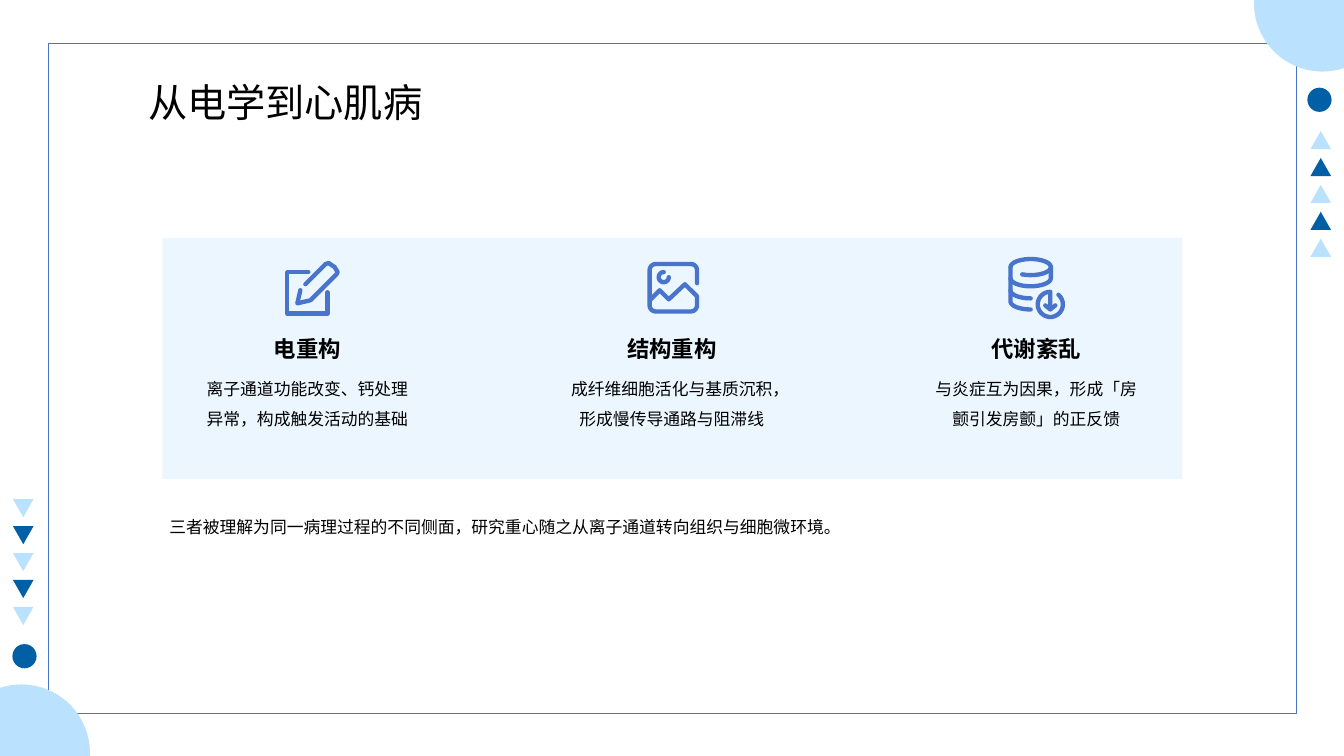
"""Build a slide on three kinds of remodelling, laid out on a grid of 133.33 columns by 75 rows."""
from dataclasses import dataclass
from math import cos, radians, sin

from lxml.etree import SubElement
from pptx import Presentation
from pptx.dml.color import RGBColor
from pptx.enum.shapes import MSO_SHAPE as Preset
from pptx.enum.text import MSO_ANCHOR as Anchor, PP_ALIGN as Align
from pptx.oxml.ns import qn
from pptx.util import Inches, Pt

COLUMNS, ROWS = 133.33, 75
CENTRE, PITCH = 30.5, 36.15
BODY_INSETS = (0.7, 0.3)


@dataclass(frozen=True)
class Theme:
    """Hold the colours, font and sizes of the slide."""
    pale: str = "BAE2FF"
    deep: str = "005FA5"
    accent: str = "4874CB"
    ink: str = "000000"
    font: str = "Calibri"
    title: int = 28
    heading: int = 16
    body: int = 12
    icon_line: float = 3.1


THEME = Theme()
CARDS = (
    ("电重构", "离子通道功能改变、钙处理异常，构成触发活动的基础"),
    ("结构重构", "成纤维细胞活化与基质沉积，形成慢传导通路与阻滞线"),
    ("代谢紊乱", "与炎症互为因果，形成「房颤引发房颤」的正反馈"),
)


def grid(*lengths):
    """Turn grid units into slide lengths."""
    return [Inches(length / 10) for length in lengths]


def color(value):
    """Turn a hex string into a colour."""
    return RGBColor.from_string(value)


def paint(shape, fill=None, line=None, width=1, alpha=None):
    """Set the fill and outline of a shape and drop its shadow."""
    shape.shadow.inherit = False
    if fill:
        shape.fill.solid()
        shape.fill.fore_color.rgb = color(fill)
        if alpha:
            tint = shape.fill._xPr.find(".//" + qn("a:srgbClr"))
            SubElement(tint, qn("a:alpha")).set("val", str(alpha * 1000))
    else:
        shape.fill.background()
    if line:
        shape.line.color.rgb = color(line)
        shape.line.width = Pt(width)
    else:
        shape.line.fill.background()
    return shape


def add_preset(slide, preset, box, **look):
    """Add a painted preset shape."""
    return paint(slide.shapes.add_shape(preset, *grid(*box)), **look)


def add_outline(slide, points, close=False, **look):
    """Add a painted freeform through the given points."""
    corners = [grid(*point) for point in points]
    builder = slide.shapes.build_freeform(*corners[0])
    builder.add_line_segments(corners[1:], close=close)
    return paint(builder.convert_to_shape(), **look)


def arc(x, y, across, down, start, end, steps=24):
    """List points along an elliptical arc, with angles in degrees."""
    angles = [radians(start + (end - start) * step / steps) for step in range(steps + 1)]
    return [(x + across * cos(angle), y + down * sin(angle)) for angle in angles]


def write(frame, text, size, bold=False, align=Align.LEFT, spacing=1.0,
          insets=(1, 0.5), anchor=Anchor.TOP):
    """Put one formatted paragraph into a text frame."""
    frame.word_wrap = True
    frame.vertical_anchor = anchor
    frame.margin_left = frame.margin_right = grid(insets[0])[0]
    frame.margin_top = frame.margin_bottom = grid(insets[1])[0]
    para = frame.paragraphs[0]
    para.alignment, para.line_spacing = align, spacing
    span = para.add_run()
    span.text = text
    span.font.name, span.font.size, span.font.bold = THEME.font, Pt(size), bold
    span.font.color.rgb = color(THEME.ink)


def add_text(slide, box, text, size, **look):
    """Add a text box holding one paragraph."""
    write(slide.shapes.add_textbox(*grid(*box)).text_frame, text, size, **look)


def add_title(slide, text):
    """Place and fill the title placeholder."""
    title = slide.shapes.title
    title.left, title.top, title.width, title.height = grid(14.7, 7.8, 36, 4.7)
    write(title.text_frame, text, THEME.title, insets=(0, 0))


def add_ornament(slide, turned):
    """Draw the quarter disc, dot and triangles, turned about the slide centre on request."""
    def place(x, y, width=0, height=0):
        if turned:
            return COLUMNS - x - width, ROWS - y - height
        return x, y

    disc = [(COLUMNS, 0)] + arc(131.2, 0.3, 6.8, 6.8, 182.5, 71.7)
    add_outline(slide, [place(*point) for point in disc], close=True, fill=THEME.pale)
    items = [(Preset.OVAL, 129.7, 8.7, 2.4, 2.4, THEME.deep)]
    items += [(Preset.ISOSCELES_TRIANGLE, 130, 13 + 2.67 * index, 2.05, 1.8,
               THEME.deep if index % 2 else THEME.pale) for index in range(5)]
    for preset, x, y, width, height, fill in items:
        box = (*place(x, y, width, height), width, height)
        add_preset(slide, preset, box, fill=fill).rotation = 180 if turned else 0


def edit_icon():
    """List the strokes of a pen on a sheet."""
    sheet = [(0.1, 1.5), (-2, 1.5), (-2, 5.6), (2, 5.6), (2, 3.5)]
    pen = [(-0.2, 2.7), (1.8, 0.7), (2.1, 0.6), (2.7, 1), (3, 1.5), (2.9, 1.7),
           (0.3, 4.3), (-1, 4.6), (-0.7, 3.3)]
    return sheet, pen


def landscape_icon():
    """List the strokes of a framed landscape with a sun."""
    frame = [(2.5, 2.6)]
    for x, y, start in ((1.9, 1.3, 0), (-1.6, 1.3, -90), (-1.6, 4.8, -180), (1.9, 4.8, -270)):
        frame += arc(x, y, 0.6, 0.6, start, start - 90, 8)
    hills = [(2.5, 3.9), (1.3, 2.7), (-0.3, 4.2), (-1.2, 3.3), (-2.1, 4.2)]
    return frame + hills, arc(-0.8, 2, 0.5, 0.5, 0, 270)


def database_icon():
    """List the strokes of a database with a download arrow."""
    side = [(-2.55, 1)] + arc(-0.55, 4.4, 2, 0.8, 180, 90)
    waist = arc(-0.55, 2.1, 2, 0.8, 180, 0) + [(1.45, 1)]
    ring = [(1.4, 5.2)] + arc(1.4, 4.7, 1.25, 1.25, 270, -50)
    return (side, waist, ring, arc(-0.55, 1, 2, 0.8, 180, 475),
            arc(-0.55, 3.3, 2, 0.8, 180, 90), [(0.9, 4.8), (1.4, 5.2), (1.9, 4.8)])


def add_icon(slide, centre, strokes):
    """Draw icon strokes around a column centre."""
    for stroke in strokes:
        points = [(centre + x, 25.5 + y) for x, y in stroke]
        line = add_outline(slide, points, line=THEME.accent, width=THEME.icon_line).line
        element = line._get_or_add_ln()
        element.set("cap", "rnd")
        SubElement(element, qn("a:round"))


def add_card(slide, centre, heading, detail, strokes):
    """Add one column of icon, heading and detail."""
    left, width = centre - 10.9, 21.8
    add_icon(slide, centre, strokes)
    add_text(slide, (left, 36.3, width, 9.4), detail, THEME.body,
             align=Align.CENTER, spacing=1.5, insets=BODY_INSETS)
    add_text(slide, (left, 32.8, width, 3.7), heading, THEME.heading,
             bold=True, align=Align.CENTER)


def main():
    """Build and save the deck."""
    deck = Presentation()
    deck.slide_width, deck.slide_height = grid(COLUMNS, ROWS)
    page = deck.slides.add_slide(deck.slide_layouts[5])
    add_title(page, "从电学到心肌病")
    add_preset(page, Preset.RECTANGLE, (4.8, 4.3, 123.8, 66.5), line=THEME.accent)
    for turned in (False, True):
        add_ornament(page, turned)
    add_preset(page, Preset.RECTANGLE, (16.1, 23.6, 101.2, 23.9), fill=THEME.pale, alpha=28)
    icons = (edit_icon(), landscape_icon(), database_icon())
    for index, (card, strokes) in enumerate(zip(CARDS, icons)):
        add_card(page, CENTRE + PITCH * index, *card, strokes)
    add_text(page, (16.1, 50, 101.2, 12.4),
             "三者被理解为同一病理过程的不同侧面，研究重心随之从离子通道转向组织与细胞微环境。",
             THEME.body, spacing=1.5, insets=BODY_INSETS)
    deck.save("out.pptx")


if __name__ == "__main__":
    main()
